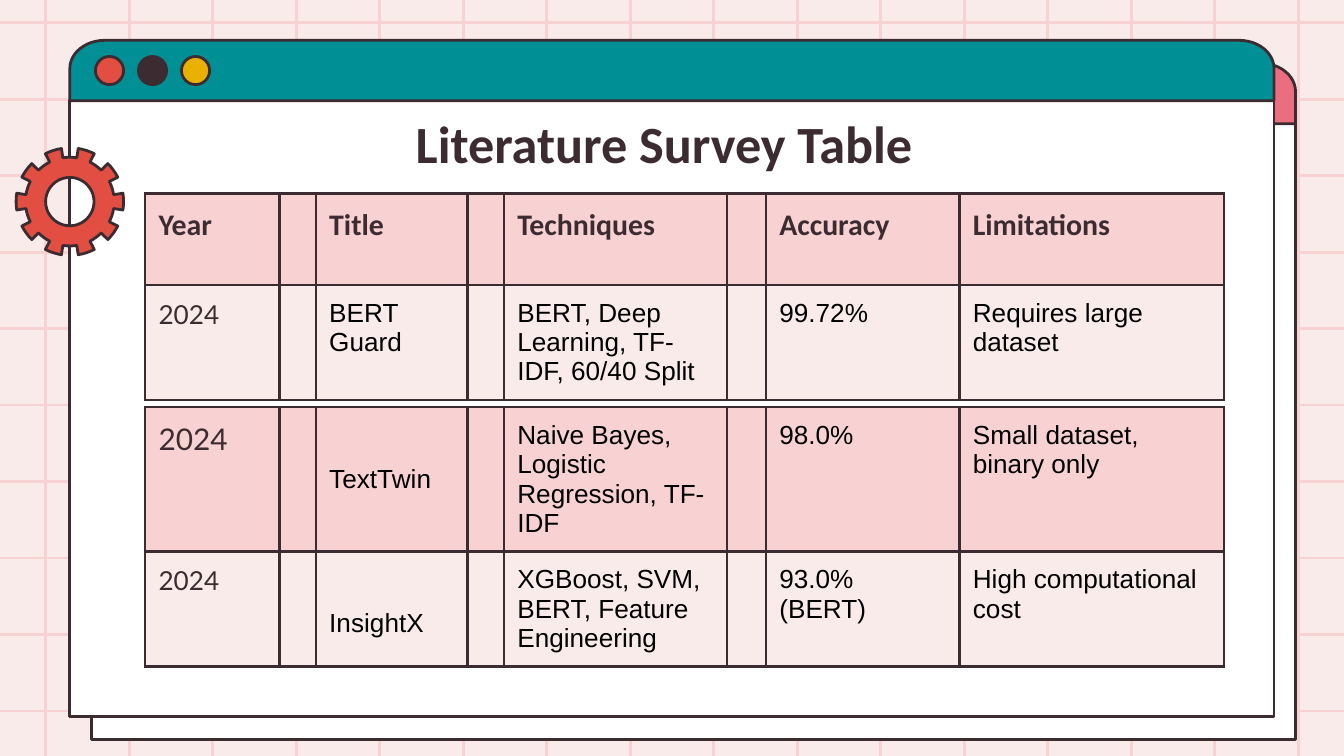
import math
from dataclasses import dataclass

from lxml import etree
from pptx import Presentation
from pptx import util as u
from pptx.dml.color import RGBColor
from pptx.enum import shapes, text
from pptx.oxml import ns


@dataclass(frozen=True)
class Theme:
    ink: str = "3C2C31"
    black: str = "000000"
    white: str = "FFFFFF"
    paper: str = "FAEBEB"
    blush: str = "F8D2D2"
    pink: str = "EB6E80"
    teal: str = "008F95"
    red: str = "E24E42"
    amber: str = "E9B000"
    heading_font: str = "Calibri"
    year_font: str = "Lato"
    body_font: str = "Arial"
    title_size: int = 28
    header_size: int = 16
    body_size: int = 14
    line_width: float = 1.5


def set_all(target, values):
    for name, value in values.items():
        setattr(target, name, value)


def arc(cx, cy, rx, ry, start, end, steps=12):
    """Points on an ellipse; angles in degrees, clockwise from the right."""
    angles = [math.radians(start + (end - start) * i / steps) for i in range(steps + 1)]
    return [(cx + rx * math.cos(a), cy + ry * math.sin(a)) for a in angles]


class SlideBuilder:
    def __init__(self, slide, theme):
        self.slide, self.theme = slide, theme

    def background(self):
        fill = self.slide.background.fill
        fill.solid()
        fill.fore_color.rgb = RGBColor.from_string(self.theme.paper)

    def paint(self, shape, color):
        shape.shadow.inherit = False
        shape.fill.solid()
        shape.fill.fore_color.rgb = RGBColor.from_string(color)
        shape.line.color.rgb = RGBColor.from_string(self.theme.ink)
        shape.line.width = u.Pt(self.theme.line_width)

    def grid_line(self, x1, y1, x2, y2):
        line = self.slide.shapes.add_connector(
            shapes.MSO_CONNECTOR.STRAIGHT, *map(u.Inches, (x1, y1, x2, y2)))
        line.line.color.rgb = RGBColor.from_string(self.theme.blush)
        line.line.width = u.Pt(self.theme.line_width)
        etree.SubElement(line._element.spPr, ns.qn("a:effectLst"))

    def preset(self, kind, x, y, w, h, color):
        self.paint(self.slide.shapes.add_shape(kind, *map(u.Inches, (x, y, w, h))), color)

    def outline(self, contours, color):
        # Freeform points are whole numbers, so they are given in EMU
        first, *others = [[(u.Inches(x), u.Inches(y)) for x, y in contour]
                          for contour in contours]
        builder = self.slide.shapes.build_freeform(*first[0])
        builder.add_line_segments(first[1:])
        for contour in others:
            builder.move_to(*contour[0])
            builder.add_line_segments(contour[1:])
        self.paint(builder.convert_to_shape(), color)

    def window(self, x, y, bar_color):
        width, bar, body, rx, ry = 8.96, 0.45, 4.58, 0.26, 0.21
        self.preset(shapes.MSO_SHAPE.RECTANGLE, x, y + bar, width, body, self.theme.white)
        bar_edge = (arc(x + rx, y + ry, rx, ry, 180, 270)
                    + arc(x + width - rx, y + ry, rx, ry, 270, 360)
                    + [(x + width, y + bar), (x, y + bar)])
        self.outline([bar_edge], bar_color)
        for i, color in enumerate((self.theme.red, self.theme.ink, self.theme.amber)):
            self.preset(shapes.MSO_SHAPE.OVAL, x + 0.19 + 0.32 * i, y + 0.12, 0.21, 0.21, color)

    def gear(self, cx, cy, outer, inner, hole, teeth=10):
        pitch = 360 / teeth
        rim = []
        for i in range(teeth):
            middle = i * pitch
            rim += arc(cx, cy, outer, outer, middle - pitch / 4, middle + pitch / 4, 4)
            rim += arc(cx, cy, inner, inner, middle + pitch / 4, middle + pitch * 3 / 4, 4)
        self.outline([rim, arc(cx, cy, hole, hole, 360, 0, 48)], self.theme.red)

    def style_text(self, frame, content, font, size, color, bold=False):
        paragraph = frame.paragraphs[0]
        run = paragraph.add_run()
        run.text = content
        set_all(run.font, {"name": font, "size": u.Pt(size), "bold": bold})
        run.font.color.rgb = RGBColor.from_string(color)
        return paragraph

    def title(self, content, x, y, w, h):
        heading = self.slide.shapes.title
        set_all(heading, dict(zip(("left", "top", "width", "height"), map(u.Inches, (x, y, w, h)))))
        frame = heading.text_frame
        set_all(frame, {"word_wrap": True, "auto_size": text.MSO_AUTO_SIZE.NONE,
                        "vertical_anchor": text.MSO_ANCHOR.TOP})
        set_all(frame, {f"margin_{side}": u.Inches(0.1) for side in ("left", "right", "top", "bottom")})
        paragraph = self.style_text(frame, content, self.theme.heading_font,
                                    self.theme.title_size, self.theme.ink, True)
        paragraph.alignment = text.PP_ALIGN.CENTER
        # Bring the title in front of the windows
        self.slide.shapes._spTree.append(heading._element)

    def borders(self, cell):
        properties = cell._tc.get_or_add_tcPr()
        for i, side in enumerate(("lnL", "lnR", "lnT", "lnB")):
            edge = etree.Element(ns.qn(f"a:{side}"), w=str(u.Pt(self.theme.line_width)))
            fill = etree.SubElement(edge, ns.qn("a:solidFill"))
            etree.SubElement(fill, ns.qn("a:srgbClr"), val=self.theme.ink)
            properties.insert(i, edge)

    def table(self, y, height, columns, row_heights, rows, formats, cell_formats):
        """Rows alternate two fills; formats(row, column) gives the text style."""
        frame = self.slide.shapes.add_table(
            len(rows), len(columns), *map(u.Inches, (1.08, y, 8.04, height)))
        survey = frame.table
        set_all(survey, {"first_row": False, "horz_banding": False})
        for column, width in zip(survey.columns, columns):
            column.width = u.Inches(width)
        for row, row_height in zip(survey.rows, row_heights):
            row.height = u.Inches(row_height)
        set_all(frame, {"width": u.Inches(8.04), "height": u.Inches(height)})
        for r, entries in enumerate(rows):
            for c in range(len(columns)):
                cell = survey.cell(r, c)
                cell.fill.solid()
                cell.fill.fore_color.rgb = RGBColor.from_string(
                    self.theme.paper if r % 2 else self.theme.blush)
                self.borders(cell)
                if c in entries:
                    margins = {"margin_top": u.Inches(0.1), "margin_bottom": u.Inches(0.1)}
                    set_all(cell, cell_formats.get((r, c), margins))
                    self.style_text(cell.text_frame, entries[c], *formats(r, c))


def main():
    theme = Theme()
    deck = Presentation()
    width = u.Inches(10)
    set_all(deck, {"slide_width": width, "slide_height": width * 9 // 16})
    page = SlideBuilder(deck.slides.add_slide(deck.slide_layouts[5]), theme)

    # Squared paper
    page.background()
    for i in range(16):
        x = 0.34 + i * (9.66 - 0.34) / 15
        page.grid_line(x, 5.82, x, -0.36)
    for i in range(10):
        y = 0.17 + i * (5.29 - 0.17) / 9
        page.grid_line(-0.22, y, 10.22, y)

    # Stacked windows and title
    page.window(0.68, 0.47, theme.pink)
    page.window(0.52, 0.3, theme.teal)
    page.title("Literature Survey Table", 0.92, 0.73, 8.04, 0.63)

    # Survey tables, with narrow spacer columns between the filled ones
    columns = (1, 0.27, 1.13, 0.27, 1.66, 0.29, 1.44, 1.97)
    filled = (0, 2, 4, 6, 7)
    header = ("Year", "Title", "Techniques", "Accuracy", "Limitations")
    bert_guard = ("2024", "BERT Guard", "BERT, Deep Learning, TF-IDF, 60/40 Split",
                  "99.72%", "Requires large dataset")
    text_twin = ("2024", "TextTwin", "Naive Bayes, Logistic Regression, TF-IDF",
                 "98.0%", "Small dataset, binary only")
    insight_x = ("2024", "InsightX", "XGBoost, SVM, BERT, Feature Engineering",
                 "93.0% (BERT)", "High computational cost")

    def body_format(column, year_size=theme.body_size):
        if column == 0:
            return theme.year_font, year_size, theme.ink
        return theme.body_font, theme.body_size, theme.black

    def upper_format(row, column):
        if row == 0:
            return theme.heading_font, theme.header_size, theme.ink, True
        return body_format(column)

    def lower_format(row, column):
        return body_format(column, theme.body_size if row else theme.header_size)

    middle = {"vertical_anchor": text.MSO_ANCHOR.MIDDLE}
    lowered = {**middle, "margin_top": u.Inches(0.27)}
    upper, lower = ([dict(zip(filled, row)) for row in pair]
                    for pair in ((header, bert_guard), (text_twin, insight_x)))
    page.table(1.44, 1.58, columns, (0.68, 0.64), upper, upper_format, {})
    page.gear(0.52, 1.5, 0.4, 0.33, 0.18)
    page.table(3.03, 2.03, columns, (0.76, 0.64), lower, lower_format,
               {(0, 2): middle, (1, 2): lowered})

    deck.save("out.pptx")


if __name__ == "__main__":
    main()
